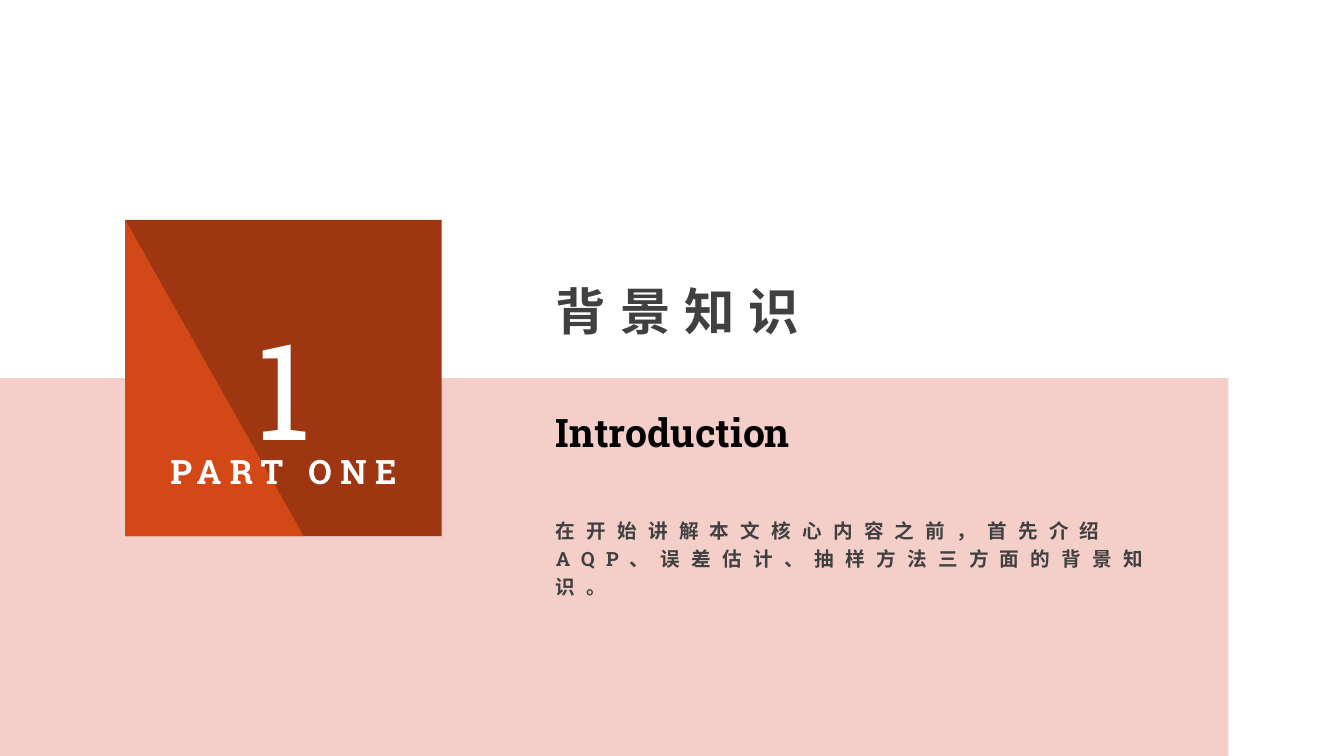
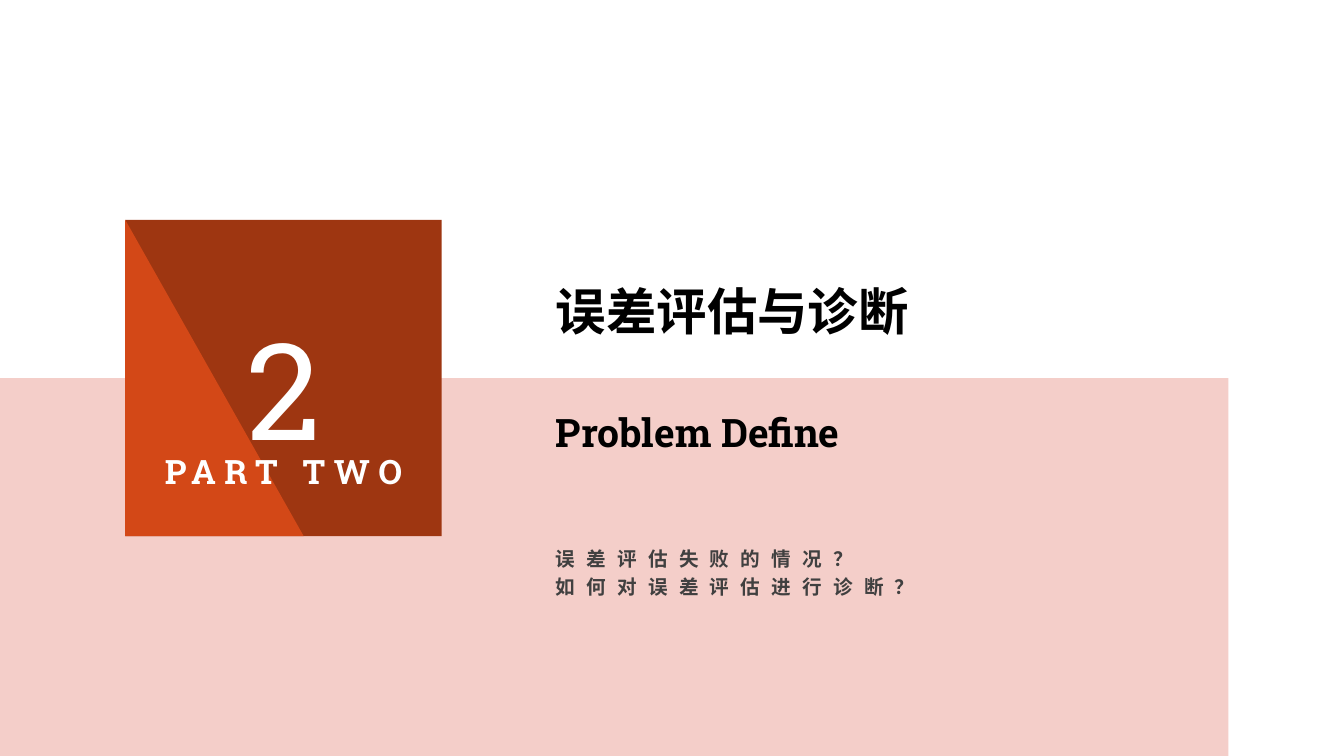
from pptx import Presentation
from pptx.dml.color import RGBColor
from pptx.enum.shapes import MSO_SHAPE
from pptx.enum.text import PP_ALIGN
from pptx.oxml.ns import qn
from pptx.util import Pt
from lxml.etree import SubElement

PINK = RGBColor(0xF4, 0xCE, 0xC9)
BROWN = RGBColor(0x9E, 0x36, 0x11)
ORANGE = RGBColor(0xD3, 0x48, 0x17)
WHITE = RGBColor(0xFF, 0xFF, 0xFF)
BLACK = RGBColor(0, 0, 0)
GREY = RGBColor(0x40, 0x40, 0x40)
FACE = "Roboto Slab"
WIDE, HIGH = 960, 540
MID = HIGH / 2
SIDE = 226

PARTS = [
    {"digit": "1", "label": "PART ONE", "title": "背景知识",
     "color": GREY, "gap": 10, "name": "Introduction",
     "body": ["在开始讲解本文核心内容之前，首先介绍AQP、误差估计、抽样方法三方面的背景知识。"],
     "lines": 3},
    {"digit": "2", "label": "PART TWO", "title": "误差评估与诊断",
     "color": BLACK, "gap": 0, "name": "Problem Define",
     "body": ["误差评估失败的情况？", "如何对误差评估进行诊断？"],
     "lines": 2},
]


def block(slide, kind, box, color):
    shape = slide.shapes.add_shape(kind, *map(Pt, box))
    shape.shadow.inherit = False
    shape.fill.solid()
    shape.fill.fore_color.rgb = color
    shape.line.fill.background()


def write(slide, box, texts, size, color, bold=True, gap=0, align=PP_ALIGN.LEFT):
    frame = slide.shapes.add_textbox(*map(Pt, box)).text_frame
    frame.word_wrap = True
    style = {"name": FACE, "size": Pt(size), "bold": bold}
    for i, text in enumerate(texts):
        para = frame.paragraphs[0] if i == 0 else frame.add_paragraph()
        para.alignment = align
        para.line_spacing = 1.2
        run = para.add_run()
        run.text = text
        for key, value in style.items():
            setattr(run.font, key, value)
        run.font.color.rgb = color
        props = run._r.get_or_add_rPr()
        SubElement(props, qn("a:ea")).set("typeface", FACE)
        if gap:
            props.set("spc", str(gap * 100))


def badge(slide, left, top, part):
    block(slide, MSO_SHAPE.RECTANGLE, (left, top, SIDE, SIDE), BROWN)
    block(slide, MSO_SHAPE.RIGHT_TRIANGLE, (left, top, 127.5, SIDE), ORANGE)
    for key, width, drop, high, size, bold, gap in (
        ("digit", 122, 35, 137, 96, False, 0),
        ("label", 207, 156, 40, 24, True, 6),
    ):
        box = (left + (SIDE - width) / 2, top + drop, width, high)
        write(slide, box, [part[key]], size, WHITE, bold, gap, PP_ALIGN.CENTER)


def words(slide, left, part):
    write(slide, (left, MID - 82, 400, 55), [part["title"]], 36,
          part["color"], gap=part["gap"])
    write(slide, (left, MID + 11.5, 400, 45), [part["name"]], 28, BLACK)
    high = part["lines"] * 20 + 7
    write(slide, (left, MID + 160.5 - high, 443, high), part["body"], 14, GREY, gap=8)


def section(deck, part):
    slide = deck.slides.add_slide(deck.slide_layouts[6])
    block(slide, MSO_SHAPE.RECTANGLE, (0, MID, 877.5, HIGH - MID), PINK)
    badge(slide, 89.5, MID - SIDE / 2, part)
    words(slide, 390, part)


def main():
    deck = Presentation()
    deck.slide_width, deck.slide_height = Pt(WIDE), Pt(HIGH)
    for part in PARTS:
        section(deck, part)
    deck.save("out.pptx")


if __name__ == "__main__":
    main()
